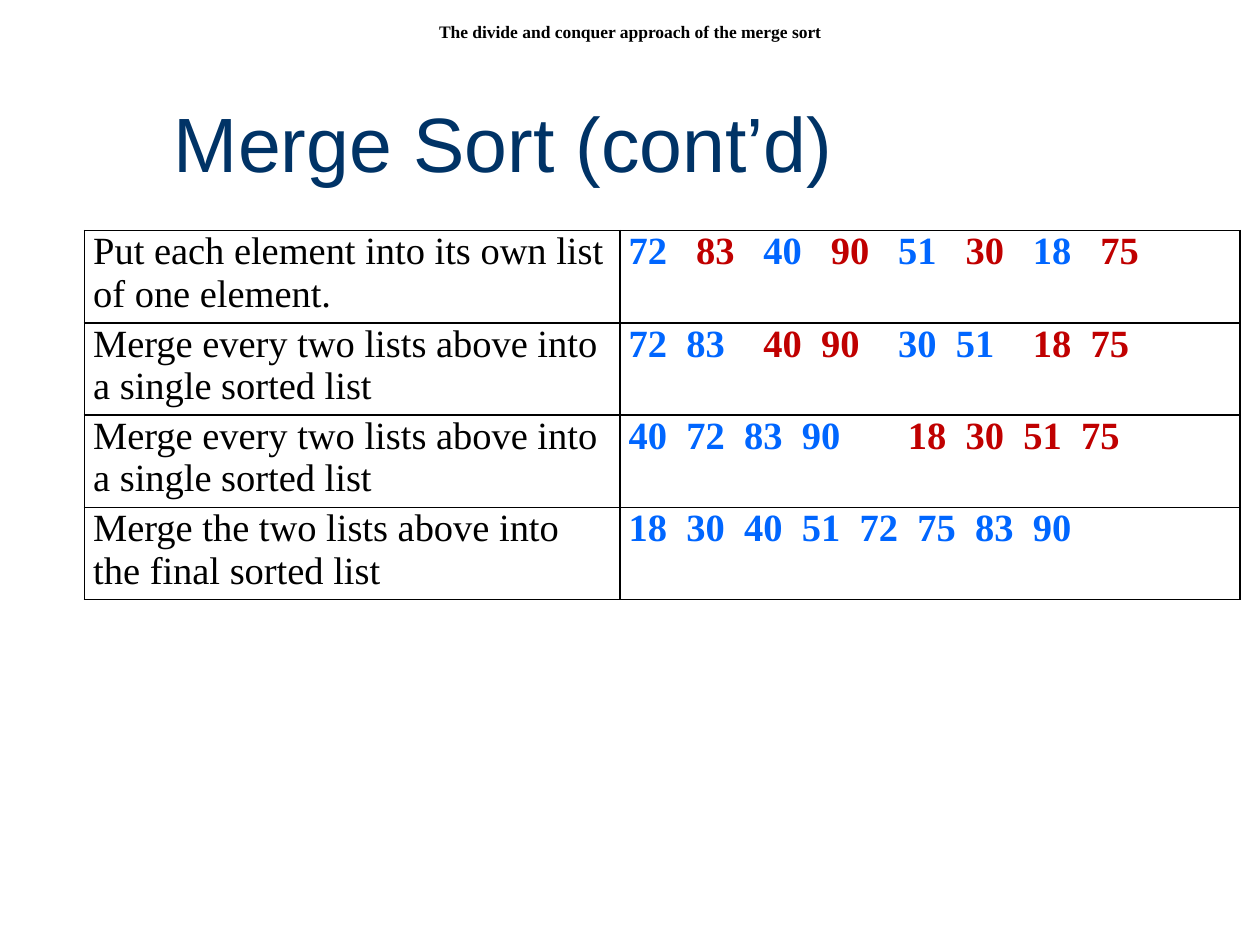
from lxml.etree import SubElement
from pptx import Presentation
from pptx.dml.color import RGBColor
from pptx.enum.text import MSO_ANCHOR, PP_ALIGN
from pptx.oxml import parse_xml
from pptx.oxml.ns import nsdecls, qn
from pptx.util import Inches, Pt

COLORS = {"title": "003366", "text": "000000", "odd": "0066FF", "even": "C00000",
          "paper": "FFFFFF", "border": "000000"}
SERIF = "Times New Roman"
NUMBER_SIZE = 22
SPACE_WIDTH = NUMBER_SIZE / 72 / 4
NUMBER_STEP = 6
STEPS = [
    ("Put each element into its own list of one element.",
     [[72], [83], [40], [90], [51], [30], [18], [75]], 7),
    ("Merge every two lists above into a single sorted list",
     [[72, 83], [40, 90], [30, 51], [18, 75]], 8),
    ("Merge every two lists above into a single sorted list",
     [[40, 72, 83, 90], [18, 30, 51, 75]], 11),
    ("Merge the two lists above into the final sorted list",
     [[18, 30, 40, 51, 72, 75, 83, 90]], 0),
]


def style_font(font, name, size, color, bold=False):
    """Set the typeface, size, colour and weight of a font."""
    font.name, font.size, font.bold = name, Pt(size), bold
    font.color.rgb = RGBColor.from_string(COLORS[color])


def add_title(page, left, top, width, height):
    """Place the slide title."""
    title = page.shapes.title
    title.left, title.top, title.width, title.height = map(Inches, (left, top, width, height))
    title.text_frame.text = "Merge Sort (cont’d)"
    title.text_frame.vertical_anchor = MSO_ANCHOR.MIDDLE
    para = title.text_frame.paragraphs[0]
    para.alignment = PP_ALIGN.LEFT
    style_font(para.font, "Arial", 44, "title")


def add_caption(page, left, top, width, height):
    """Place the centred caption at the top of the slide."""
    box = page.shapes.add_textbox(*map(Inches, (left, top, width, height)))
    frame = box.text_frame
    frame.word_wrap = False
    frame.vertical_anchor = MSO_ANCHOR.MIDDLE
    para = frame.paragraphs[0]
    para.text = "The divide and conquer approach of the merge sort"
    para.alignment = PP_ALIGN.CENTER
    style_font(para.font, SERIF, 10, "text", True)


def format_cell(cell):
    """Give a cell its margins, borders and fill."""
    cell.margin_left = cell.margin_right = Inches(0.07)
    cell.margin_top = cell.margin_bottom = 0
    cell.fill.solid()
    cell.fill.fore_color.rgb = RGBColor.from_string(COLORS["paper"])
    properties = cell._tc.get_or_add_tcPr()
    for position, side in enumerate(("lnL", "lnR", "lnT", "lnB")):
        properties.insert(position, parse_xml(
            f'<a:{side} {nsdecls("a")} w="{Pt(1)}"><a:solidFill>'
            f'<a:srgbClr val="{COLORS["border"]}"/></a:solidFill></a:{side}>'))


def write_lists(para, lists, list_step):
    """Write number lists on tab stops, in alternating colours."""
    tabs = SubElement(para._p.get_or_add_pPr(), qn("a:tabLst"))
    offset = 0
    for index, numbers in enumerate(lists):
        for place in range(len(numbers)):
            if index or place:
                offset += NUMBER_STEP if place else list_step
                SubElement(tabs, qn("a:tab"), pos=str(Inches(offset * SPACE_WIDTH)), algn="l")
        span = para.add_run()
        span.text = ("\t" if index else "") + "\t".join(map(str, numbers))
        color = COLORS["even" if index % 2 else "odd"]
        span.font.color.rgb = RGBColor.from_string(color)
    style_font(para.font, SERIF, NUMBER_SIZE, "odd", True)


def add_steps_table(page, left, top, width, height):
    """Place the table of merge steps and their lists."""
    frame = page.shapes.add_table(len(STEPS), 2, *map(Inches, (left, top, width, height)))
    table = frame.table
    table.first_row = table.horz_banding = False
    table.columns[0].width = Inches(4.25)
    table.columns[1].width = Inches(width - 4.25)
    for row, (step, lists, list_step) in enumerate(STEPS):
        for cell in table.rows[row].cells:
            format_cell(cell)
        para = table.cell(row, 0).text_frame.paragraphs[0]
        para.text = step
        style_font(para.font, SERIF, NUMBER_SIZE, "text")
        write_lists(table.cell(row, 1).text_frame.paragraphs[0], lists, list_step)


def main():
    """Build and save the merge sort slide."""
    deck = Presentation()
    deck.slide_width, deck.slide_height = Inches(10), Inches(7.5)
    page = deck.slides.add_slide(deck.slide_layouts[5])
    add_title(page, 1.28, 0.5, 8.5, 1.25)
    add_steps_table(page, 0.67, 1.83, 9.17, 2.93)
    add_caption(page, 0, 0, 10, 0.5)
    deck.save("out.pptx")


if __name__ == "__main__":
    main()
